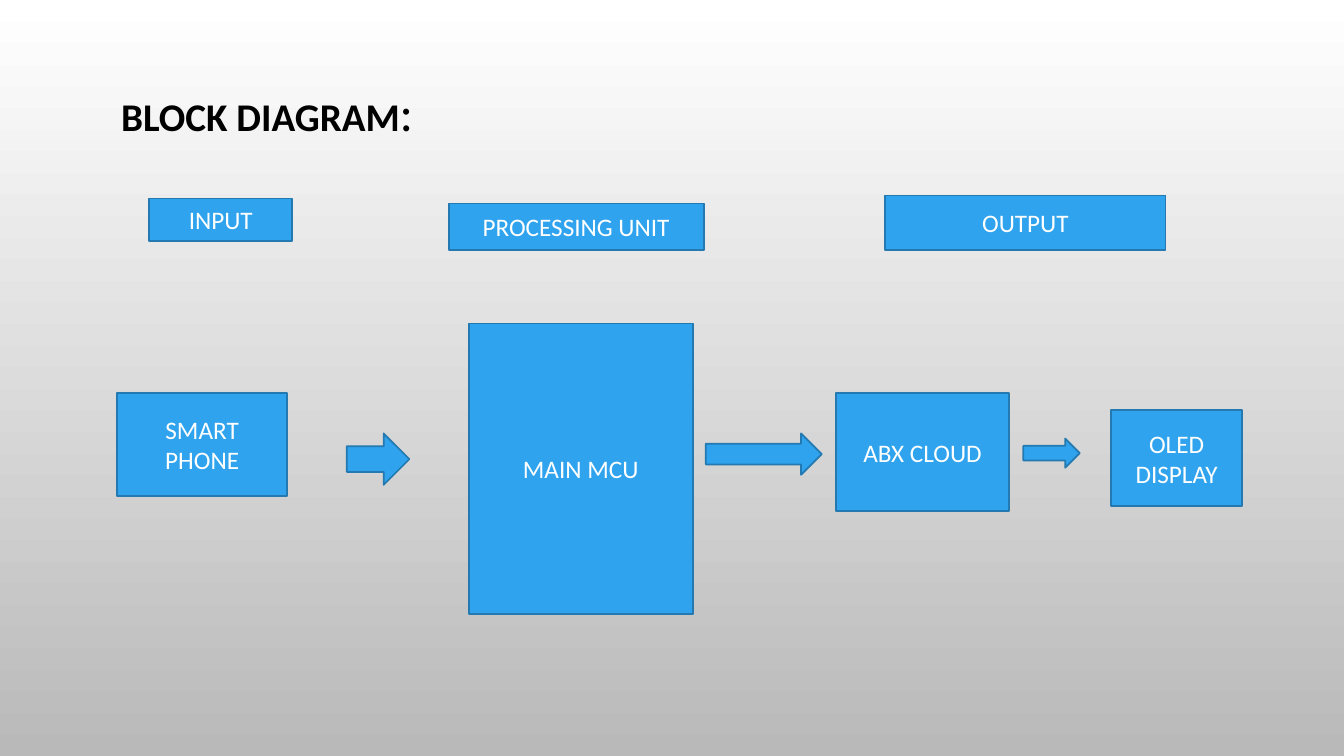
from dataclasses import dataclass

from pptx import Presentation
from pptx.dml.color import RGBColor
from pptx.enum.shapes import MSO_SHAPE
from pptx.enum.text import MSO_ANCHOR, PP_ALIGN
from pptx.util import Pt

RECT, ARROW = MSO_SHAPE.RECTANGLE, MSO_SHAPE.RIGHT_ARROW
CENTER, MIDDLE = PP_ALIGN.CENTER, MSO_ANCHOR.MIDDLE
PX = 9144  # EMU per px, 100 px to the inch
FONT = "Calibri"
COLORS = {
    "top": "FFFFFF",
    "bottom": "B9B9B9",
    "fill": "2FA3EE",
    "line": "2379B0",
    "label": "FFFFFF",
    "title": "000000",
}


@dataclass
class Block:
    x: int
    y: int
    w: int
    h: int
    text: str = ""
    kind: int = RECT


HEADINGS = [
    Block(148, 197, 142, 42, "INPUT"),
    Block(445, 202, 253, 46, "PROCESSING UNIT"),
    Block(878, 194, 278, 54, "OUTPUT"),
]
STAGES = [
    Block(116, 390, 169, 102, "SMART PHONE"),
    Block(465, 321, 222, 288, "MAIN MCU"),
    Block(829, 390, 172, 117, "ABX CLOUD"),
    Block(1102, 407, 130, 95, "OLED DISPLAY"),
]
ARROWS = [
    Block(344, 430, 62, 51, kind=ARROW),
    Block(700, 430, 115, 41, kind=ARROW),
    Block(1015, 435, 56, 29, kind=ARROW),
]


def color(name: str) -> RGBColor:
    return RGBColor.from_string(COLORS[name])


def px(*lengths: int) -> list[int]:
    return [length * PX for length in lengths]


def style_run(r, size: int, name: str, bold: bool = False) -> None:
    r.font.name, r.font.size, r.font.bold = FONT, Pt(size), bold
    r.font.color.rgb = color(name)


def add_background(s) -> None:
    fill = s.background.fill
    fill.gradient()
    fill.gradient_angle = 270
    for stop, name in zip(fill.gradient_stops, ("top", "bottom")):
        stop.color.rgb = color(name)


def add_title(s) -> None:
    tf = s.shapes.add_textbox(*px(-24, 27, 578, 175)).text_frame
    tf.word_wrap = True
    tf.vertical_anchor = MIDDLE
    p = tf.paragraphs[0]
    p.alignment, p.line_spacing = CENTER, 0.9
    for text, size, bold in (("BLOCK DIAGRAM", 28, True), (":", 36, False)):
        r = p.add_run()
        r.text = text
        style_run(r, size, "title", bold)


def add_block(s, block: Block) -> None:
    sp = s.shapes.add_shape(block.kind, *px(block.x, block.y, block.w, block.h))
    sp.shadow.inherit = False
    sp.fill.solid()
    sp.fill.fore_color.rgb = color("fill")
    sp.line.color.rgb = color("line")
    sp.line.width = Pt(1.25)
    if block.text:
        tf = sp.text_frame
        tf.text = block.text
        tf.word_wrap = True
        tf.vertical_anchor = MIDDLE
        p = tf.paragraphs[0]
        p.alignment = CENTER
        style_run(p.runs[0], 18, "label")


def main() -> None:
    prs = Presentation()
    prs.slide_width, prs.slide_height = px(1333, 750)
    s = prs.slides.add_slide(prs.slide_layouts[6])
    add_background(s)
    add_title(s)
    # Column headings, then the stages, then the flow between them
    for block in HEADINGS + STAGES + ARROWS:
        add_block(s, block)
    prs.save("out.pptx")


if __name__ == "__main__":
    main()
